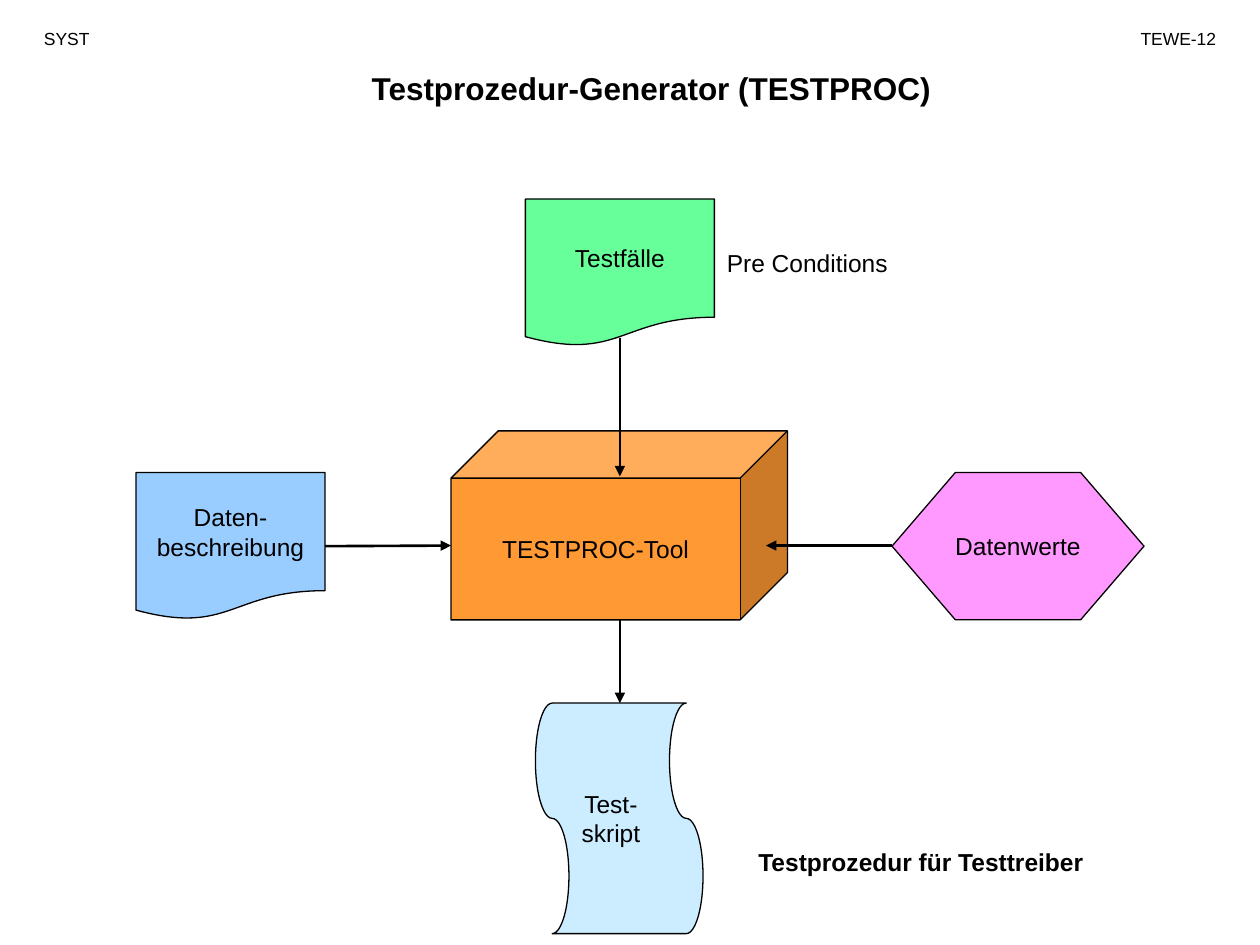
"""Build the data flow slide of the TESTPROC test procedure generator."""
from dataclasses import dataclass
from typing import Optional

import lxml.etree
import pptx
import pptx.dml.color
import pptx.enum.shapes
import pptx.enum.text
import pptx.oxml.ns
import pptx.util

Inches = pptx.util.Inches
Shape = pptx.enum.shapes.MSO_SHAPE
Align = pptx.enum.text.PP_ALIGN

COLORS = {
    "ink": "000000",
    "tool": "FF9933",
    "description": "99CCFF",
    "cases": "66FF99",
    "values": "FF99FF",
    "script": "CCECFF",
}


@dataclass
class Node:
    name: str
    kind: Shape
    lines: list[str]
    left: float
    top: float
    width: float
    height: float
    adjustment: Optional[float] = None
    rotation: int = 0


@dataclass
class Label:
    text: str
    left: float
    top: float
    width: float
    height: float
    size: int = 14
    bold: bool = False
    align: Align = Align.LEFT


@dataclass
class Arrow:
    start: tuple[float, float]
    end: tuple[float, float]
    source: Optional[str] = None


CENTER_X, MIDDLE_Y = 4.92, 4.33

NODES = [
    Node("tool", Shape.CUBE, ["TESTPROC-Tool"], 3.58, 3.42, 2.67, 1.5, 0.25),
    Node("description", Shape.FLOWCHART_DOCUMENT, ["Daten-", "beschreibung"], 1.08, 3.75, 1.5, 1.17),
    Node("cases", Shape.FLOWCHART_DOCUMENT, ["Testfälle"], 4.17, 1.58, 1.5, 1.17),
    Node("values", Shape.HEXAGON, ["Datenwerte"], 7.08, 3.75, 2, 1.17, 0.43),
    Node("script", Shape.FLOWCHART_PUNCHED_TAPE, ["Test-", "skript"], 4, 5.83, 1.83, 1.33, rotation=270),
]

LABELS = [
    Label("Testprozedur-Generator (TESTPROC)", 2.17, 0.5, 6, 0.4, 18, True, Align.CENTER),
    Label("SYST", 0.25, 0.17, 0.92, 0.27, 10),
    Label("TEWE-12", 8.75, 0.17, 1, 0.27, 10, align=Align.RIGHT),
    Label("Testprozedur für Testtreiber", 5.92, 6.67, 2.92, 0.34, bold=True),
    Label("Pre Conditions", 5.67, 1.92, 1.83, 0.34),
]

ARROWS = [
    Arrow((CENTER_X, 4.92), (CENTER_X, 5.58)),
    Arrow((2.58, MIDDLE_Y), (3.58, MIDDLE_Y), "description"),
    Arrow((7.08, MIDDLE_Y), (6.08, MIDDLE_Y)),
    Arrow((CENTER_X, 2.68), (CENTER_X, 3.78)),
]


def rgb(name: str) -> pptx.dml.color.RGBColor:
    """Return the named colour."""
    return pptx.dml.color.RGBColor.from_string(COLORS[name])


def write_text(frame, lines: list[str], *, size: int = 14, bold: bool = False,
               align: Align = Align.CENTER) -> None:
    """Write one paragraph per line into a text frame."""
    for index, line in enumerate(lines):
        para = frame.add_paragraph() if index else frame.paragraphs[0]
        para.alignment = align
        span = para.add_run()
        span.text = line
        span.font.name = "Arial"
        span.font.size = pptx.util.Pt(size)
        span.font.bold = bold
        span.font.color.rgb = rgb("ink")


def draw_node(page, node: Node):
    """Draw a filled, outlined shape with its caption."""
    box = page.shapes.add_shape(node.kind, Inches(node.left), Inches(node.top),
                                Inches(node.width), Inches(node.height))
    box.shadow.inherit = False
    box.fill.solid()
    box.fill.fore_color.rgb = rgb(node.name)
    box.line.color.rgb = rgb("ink")
    box.line.width = pptx.util.Pt(0.75)
    if node.adjustment is not None:
        box.adjustments[0] = node.adjustment
    frame = box.text_frame
    frame.word_wrap = False
    frame.vertical_anchor = pptx.enum.text.MSO_ANCHOR.MIDDLE
    if node.rotation:
        box.rotation = node.rotation
        frame.margin_left = frame.margin_right = Inches(0.05)
        frame.margin_top = frame.margin_bottom = Inches(0.1)
        box.element.txBody.bodyPr.set("vert", "eaVert")
    write_text(frame, node.lines)
    return box


def draw_label(page, label: Label) -> None:
    """Draw a free-standing line of text."""
    box = page.shapes.add_textbox(Inches(label.left), Inches(label.top),
                                  Inches(label.width), Inches(label.height))
    frame = box.text_frame
    frame.word_wrap = True
    frame.auto_size = pptx.enum.text.MSO_AUTO_SIZE.SHAPE_TO_FIT_TEXT
    write_text(frame, [label.text], size=label.size, bold=label.bold, align=label.align)


def draw_arrow(page, arrow: Arrow, boxes: dict) -> None:
    """Draw a straight line with a triangular head at its end."""
    line = page.shapes.add_connector(pptx.enum.shapes.MSO_CONNECTOR.STRAIGHT,
                                     *map(Inches, arrow.start + arrow.end))
    if arrow.source:
        line.begin_connect(boxes[arrow.source], 3)
    line.line.color.rgb = rgb("ink")
    line.line.width = pptx.util.Pt(1.5)
    qn = pptx.oxml.ns.qn
    lxml.etree.SubElement(line.line._get_or_add_ln(), qn("a:tailEnd"), type="triangle")
    lxml.etree.SubElement(line.element.spPr, qn("a:effectLst"))


def main() -> None:
    """Build and save the slide."""
    deck = pptx.Presentation()
    deck.slide_width, deck.slide_height = Inches(10), Inches(7.5)
    page = deck.slides.add_slide(deck.slide_layouts[6])
    boxes = {node.name: draw_node(page, node) for node in NODES}
    for label in LABELS:
        draw_label(page, label)
    for arrow in ARROWS:
        draw_arrow(page, arrow, boxes)
    deck.save("out.pptx")


if __name__ == "__main__":
    main()
